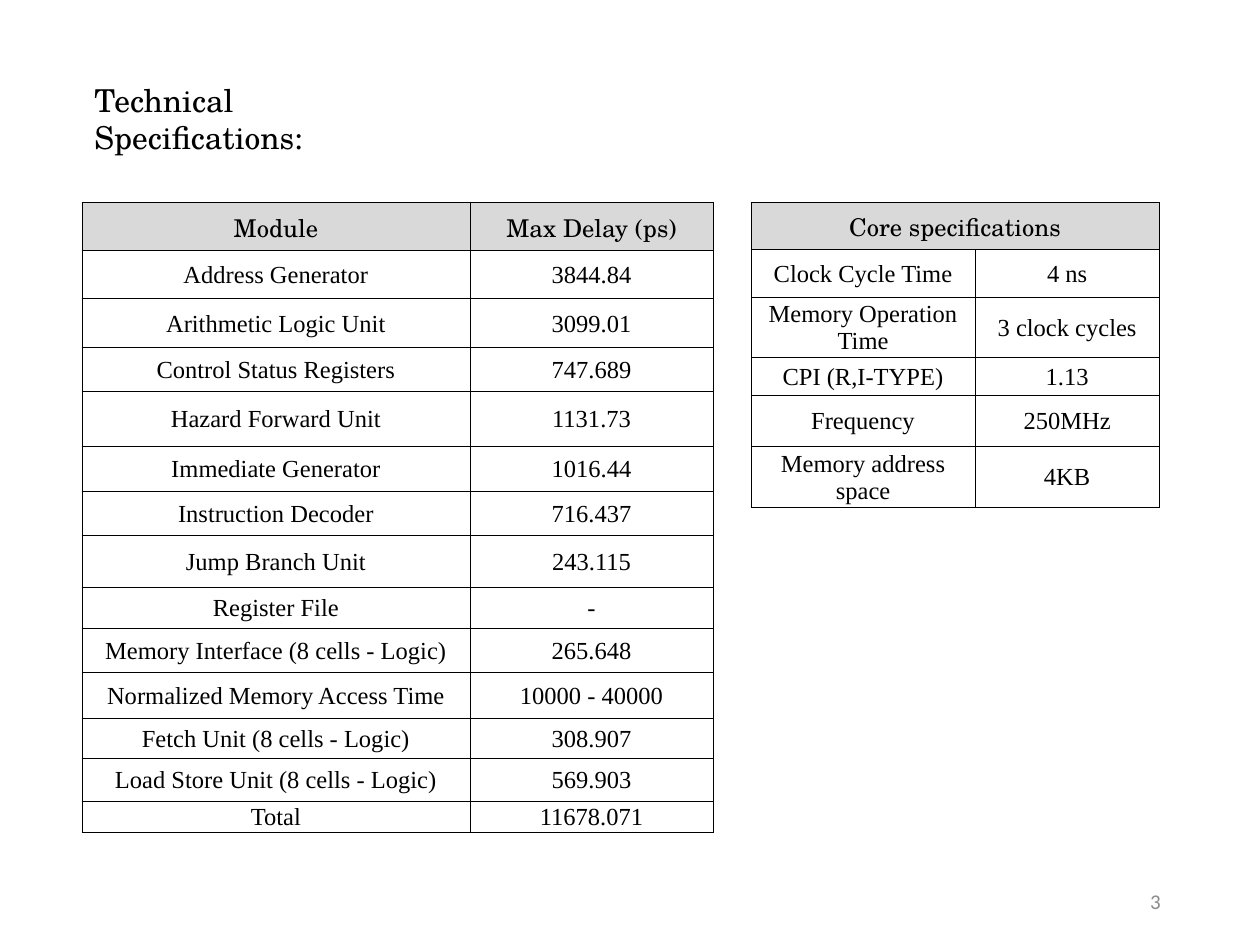
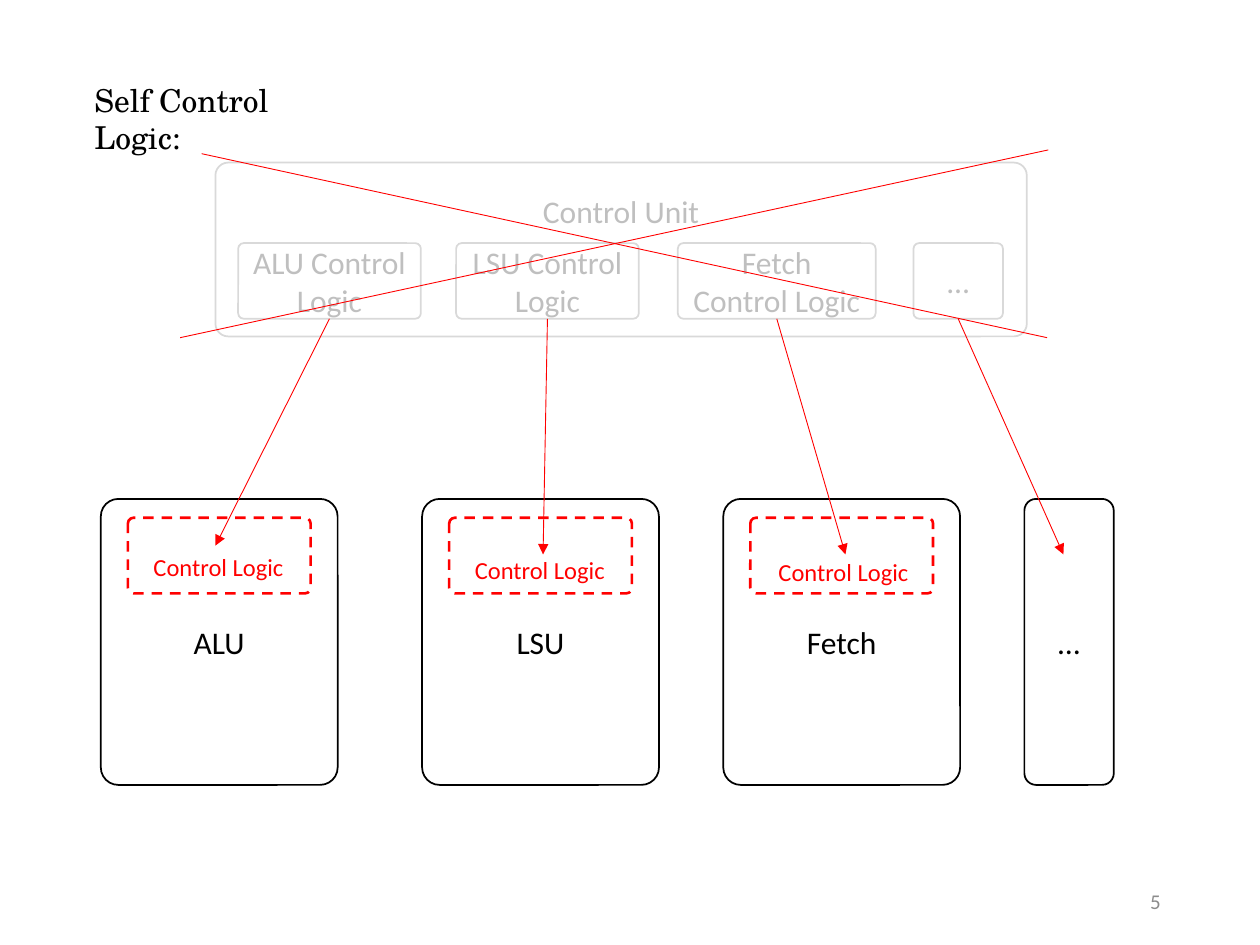
from lxml import etree
from pptx import Presentation
from pptx.dml.color import RGBColor
from pptx.enum.dml import MSO_LINE
from pptx.enum.shapes import MSO_CONNECTOR, MSO_SHAPE
from pptx.enum.text import MSO_ANCHOR, PP_ALIGN
from pptx.oxml.ns import qn
from pptx.util import Inches, Pt

BLACK = RGBColor(0x00, 0x00, 0x00)
WHITE = RGBColor(0xFF, 0xFF, 0xFF)
RED = RGBColor(0xFF, 0x00, 0x00)
HEADER_GRAY = RGBColor(0xD9, 0xD9, 0xD9)
FADED_GRAY = RGBColor(0xBF, 0xBF, 0xBF)
FOOTER_GRAY = RGBColor(0x8C, 0x8C, 0x8C)

LEFT, CENTER, RIGHT = PP_ALIGN.LEFT, PP_ALIGN.CENTER, PP_ALIGN.RIGHT
TOP, MIDDLE = MSO_ANCHOR.TOP, MSO_ANCHOR.MIDDLE
DASH = MSO_LINE.DASH
ROUNDED = MSO_SHAPE.ROUNDED_RECTANGLE
STRAIGHT = MSO_CONNECTOR.STRAIGHT

SLIDE_WIDTH, SLIDE_HEIGHT = Inches(10), Inches(7.5)
GRID_COLUMNS, GRID_ROWS = 100, 75

TITLE_FONT = {"name": "TeX Gyre Schola", "size": Pt(18)}
HEADER_FONT = {"name": "TeX Gyre Schola", "size": Pt(14)}
CELL_FONT = {"name": "Times New Roman", "size": Pt(14)}
BOX_FONT = {"name": "Calibri", "size": Pt(18)}
LABEL_FONT = {"name": "Calibri", "size": Pt(14)}
FOOTER_FONT = {"name": "Calibri", "size": Pt(12)}

TITLE_TEXT_COLUMNS = 19
CORNER = 0.074

MODULE_DELAYS = [
    ("Module", "Max Delay (ps)"),
    ("Address Generator", "3844.84"),
    ("Arithmetic Logic Unit", "3099.01"),
    ("Control Status Registers", "747.689"),
    ("Hazard Forward Unit", "1131.73"),
    ("Immediate Generator", "1016.44"),
    ("Instruction Decoder", "716.437"),
    ("Jump Branch Unit", "243.115"),
    ("Register File", "-"),
    ("Memory Interface (8 cells - Logic)", "265.648"),
    ("Normalized Memory Access Time", "10000 - 40000"),
    ("Fetch Unit (8 cells - Logic)", "308.907"),
    ("Load Store Unit (8 cells - Logic)", "569.903"),
    ("Total", "11678.071"),
]
MODULE_ROWS = [3.8, 3.8, 3.9, 3.5, 4.3, 3.6, 3.5, 4.1, 3.3, 3.5, 3.6, 3.2, 3.4, 2.5]

CORE_SPECIFICATIONS = [
    ("Core specifications", ""),
    ("Clock Cycle Time", "4 ns"),
    ("Memory Operation Time", "3 clock cycles"),
    ("CPI (R,I-TYPE)", "1.13"),
    ("Frequency", "250MHz"),
    ("Memory address space", "4KB"),
]
CORE_ROWS = [3.7, 3.8, 4.75, 3, 4.1, 4.75]

CONTROL_TOP, CONTROL_HEIGHT = 19.3, 6
CONTROL_BLOCKS = [
    ("ALU Control Logic", 18.9, 14.5),
    ("LSU Control Logic", 36.2, 14.5),
    ("Fetch Control Logic", 53.8, 15.7),
    ("…", 72.5, 7.1),
]
UNIT_TOP, UNIT_HEIGHT = 39.6, 22.7
UNIT_WIDTH, LOGIC_WIDTH = 18.8, 14.5
UNITS = [("ALU", 8), ("LSU", 33.5), ("Fetch", 57.4)]
ARROW_TIPS = [(17.1, 43.3), (43.1, 44), (67.1, 44), (84.4, 44)]
LOGIC_LABELS = [(11.2, 43.3), (36.7, 43.6), (60.8, 43.7)]
CROSS = [((16, 12.2), (83.1, 26.8)), ((83.2, 11.9), (14.3, 26.8))]


def col(count):
    return round(SLIDE_WIDTH * count / GRID_COLUMNS)


def row(count):
    return round(SLIDE_HEIGHT * count / GRID_ROWS)


def area(left, top, width, height):
    return col(left), row(top), col(width), row(height)


def apply(target, values):
    for key, value in values.items():
        setattr(target, key, value)


def write(frame, text, font, color, align=LEFT, **frame_format):
    apply(frame, frame_format)
    paragraph = frame.paragraphs[0]
    paragraph.alignment = align
    run = paragraph.add_run()
    run.text = text
    apply(run.font, font)
    run.font.color.rgb = color


def add_label(slide, place, text, font, color, align=LEFT, **frame_format):
    label = slide.shapes.add_textbox(*area(*place))
    write(label.text_frame, text, font, color, align, **frame_format)


def add_title(slide, text, width):
    spare = width - TITLE_TEXT_COLUMNS - 1
    add_label(slide, (6.5, 5.9, width, 4), text, TITLE_FONT, BLACK,
              word_wrap=True, margin_right=col(spare))


def add_page_number(slide, number):
    add_label(slide, (70.6, 69.5, 22.5, 4), number, FOOTER_FONT, FOOTER_GRAY, RIGHT,
              word_wrap=True, vertical_anchor=MIDDLE)


def start_slide(deck, title, title_width, number):
    slide = deck.slides.add_slide(deck.slide_layouts[6])
    add_title(slide, title, title_width)
    add_page_number(slide, number)
    return slide


def outline_cell(cell):
    properties = cell._tc.get_or_add_tcPr()
    for position, side in enumerate(("lnL", "lnR", "lnT", "lnB")):
        border = etree.Element(qn(f"a:{side}"), w=str(Pt(0.5)))
        fill = etree.SubElement(border, qn("a:solidFill"))
        etree.SubElement(fill, qn("a:srgbClr"), val=str(BLACK))
        properties.insert(position, border)


def fill_cell(cell, text, is_header):
    apply(cell, {"margin_left": col(0.1), "margin_right": col(0.1),
                 "margin_top": row(0.1), "margin_bottom": 0,
                 "vertical_anchor": MIDDLE})
    if is_header:
        cell.fill.solid()
        cell.fill.fore_color.rgb = HEADER_GRAY
    else:
        cell.fill.background()
    outline_cell(cell)
    if text:
        write(cell.text_frame, text, HEADER_FONT if is_header else CELL_FONT, BLACK, CENTER)


def add_spec_table(slide, left, top, records, widths, heights):
    place = area(left, top, sum(widths), sum(heights))
    table = slide.shapes.add_table(len(records), len(widths), *place).table
    apply(table, {"first_row": False, "horz_banding": False})
    for column, width in zip(table.columns, widths):
        column.width = col(width)
    for index, (record, height) in enumerate(zip(records, heights)):
        table.rows[index].height = row(height)
        for position, text in enumerate(record):
            fill_cell(table.cell(index, position), text, index == 0)
    return table


def add_box(slide, place, line_color, text="", text_color=BLACK, corner=CORNER,
            line_format=None, **frame_format):
    box = slide.shapes.add_shape(ROUNDED, *area(*place))
    box.shadow.inherit = False
    box.adjustments[0] = corner
    box.fill.solid()
    box.fill.fore_color.rgb = WHITE
    box.line.color.rgb = line_color
    apply(box.line, line_format or {"width": Pt(1)})
    if text:
        write(box.text_frame, text, BOX_FONT, text_color, CENTER,
              word_wrap=True, vertical_anchor=MIDDLE, **frame_format)


def add_red_line(slide, start, end, arrow=False):
    connector = slide.shapes.add_connector(
        STRAIGHT, col(start[0]), row(start[1]), col(end[0]), row(end[1]))
    connector.line.color.rgb = RED
    connector.line.width = Pt(0.5)
    if arrow:
        etree.SubElement(connector.line._get_or_add_ln(), qn("a:tailEnd"), type="triangle")
    etree.SubElement(connector._element.spPr, qn("a:effectLst"))


def add_control_unit(slide):
    add_box(slide, (17.1, 12.9, 64.4, 13.8), HEADER_GRAY, "Control Unit", FADED_GRAY,
            margin_bottom=row(6.6))
    for text, left, width in CONTROL_BLOCKS:
        add_box(slide, (left, CONTROL_TOP, width, CONTROL_HEIGHT),
                HEADER_GRAY, text, FADED_GRAY)


def add_units(slide):
    inset = (UNIT_WIDTH - LOGIC_WIDTH) / 2
    for text, left in UNITS:
        add_box(slide, (left, UNIT_TOP, UNIT_WIDTH, UNIT_HEIGHT), BLACK, text)
        add_box(slide, (left + inset, UNIT_TOP + 1.5, LOGIC_WIDTH, CONTROL_HEIGHT), RED,
                line_format={"width": Pt(1.5), "dash_style": DASH})
    add_box(slide, (81.3, UNIT_TOP, 7.1, UNIT_HEIGHT), BLACK, "…", corner=0.131)


def build_specifications(deck):
    slide = start_slide(deck, "Technical Specifications:", 30, "3")
    add_spec_table(slide, 6.5, 16.1, MODULE_DELAYS, [30.8, 19.3], MODULE_ROWS)
    core = add_spec_table(slide, 59.6, 16.1, CORE_SPECIFICATIONS, [17.8, 14.6], CORE_ROWS)
    core.cell(0, 0).merge(core.cell(0, 1))


def build_self_control(deck):
    slide = start_slide(deck, "Self Control Logic:", 23.1, "5")
    add_control_unit(slide)
    add_units(slide)
    for (_, left, width), tip in zip(CONTROL_BLOCKS, ARROW_TIPS):
        add_red_line(slide, (left + width / 2, CONTROL_TOP + CONTROL_HEIGHT), tip, arrow=True)
    for start, end in CROSS:
        add_red_line(slide, start, end)
    for left, top in LOGIC_LABELS:
        add_label(slide, (left, top, 12.4, 3.4), "Control Logic", LABEL_FONT, RED,
                  word_wrap=False)


def main():
    deck = Presentation()
    apply(deck, {"slide_width": SLIDE_WIDTH, "slide_height": SLIDE_HEIGHT})
    build_specifications(deck)
    build_self_control(deck)
    deck.save("out.pptx")


if __name__ == "__main__":
    main()
